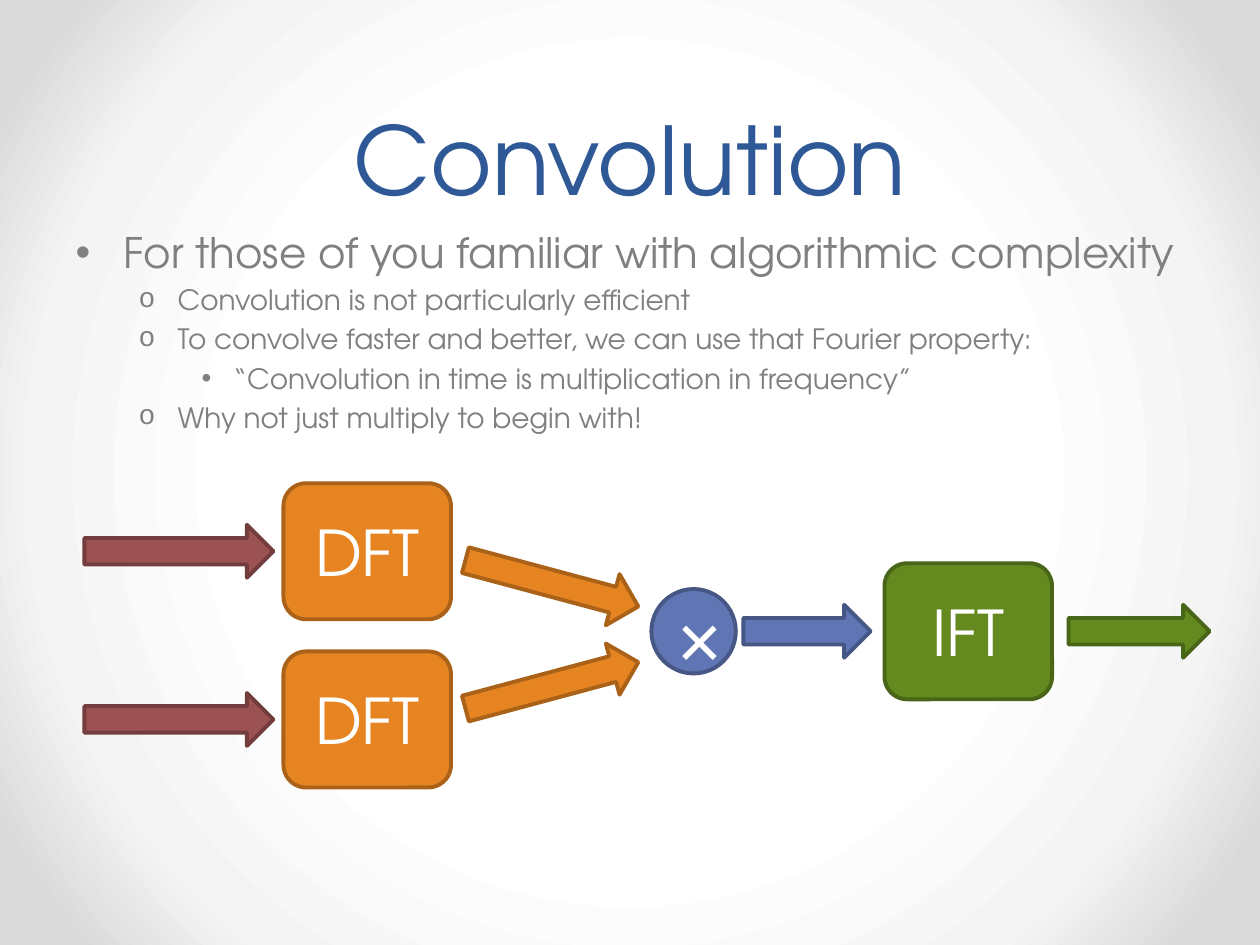
from dataclasses import dataclass

from lxml import etree
from pptx import Presentation
from pptx.dml.color import RGBColor
from pptx.enum import shapes, text
from pptx.oxml import parse_xml
from pptx.oxml.ns import nsdecls, qn
from pptx.util import Inches, Pt

FONT = "TeX Gyre Adventor"
TITLE_BLUE = RGBColor(0x2F, 0x58, 0x97)
GRAY = RGBColor(0x80, 0x80, 0x80)
WHITE = RGBColor(0xFF, 0xFF, 0xFF)
BACKDROP = [(50, WHITE), (76, RGBColor(0xF4, 0xF4, 0xF4)), (92, RGBColor(0xDA, 0xDA, 0xDA))]


@dataclass(frozen=True)
class Palette:
    fill: RGBColor
    line: RGBColor


RED = Palette(RGBColor(0x9C, 0x52, 0x52), RGBColor(0x73, 0x3D, 0x3D))
ORANGE = Palette(RGBColor(0xE6, 0x84, 0x22), RGBColor(0xAA, 0x62, 0x19))
BLUE = Palette(RGBColor(0x60, 0x76, 0xB4), RGBColor(0x47, 0x57, 0x85))
GREEN = Palette(RGBColor(0x63, 0x89, 0x1F), RGBColor(0x49, 0x65, 0x17))


@dataclass(frozen=True)
class Level:
    size: int
    left: float
    hanging: float
    bullet: str
    bullet_font: str


LEVELS = [
    Level(24, 0.38, 0.38, "•", "Arial"),
    Level(16, 0.81, 0.31, "o", "Courier New"),
    Level(16, 1.25, 0.25, "•", "Arial"),
]

POINTS = [
    (0, "For those of you familiar with algorithmic complexity"),
    (1, "Convolution is not particularly efficient"),
    (1, "To convolve faster and better, we can use that Fourier property:"),
    (2, "“Convolution in time is multiplication in frequency”"),
    (1, "Why not just multiply to begin with!"),
]


@dataclass(frozen=True)
class Block:
    """A part of the signal flow, placed by its left edge and vertical centre."""
    kind: shapes.MSO_SHAPE
    left: float
    middle: float
    width: float
    height: float
    palette: Palette
    label: str = ""
    size: int = 36
    rotation: int = 0


def transform(left: float, middle: float, palette: Palette, label: str) -> Block:
    return Block(shapes.MSO_SHAPE.ROUNDED_RECTANGLE, left, middle, 1.33, 1.08, palette, label)


def arrow(left: float, middle: float, width: float, palette: Palette, rotation: int = 0) -> Block:
    return Block(shapes.MSO_SHAPE.RIGHT_ARROW, left, middle, width, 0.42, palette, rotation=rotation)


MERGE_Y = 5.01
BLOCKS = []
for input_y, merge_arrow_y, angle in [(4.375, 4.63, 15), (5.71, 5.44, 345)]:
    BLOCKS += [
        transform(2.25, input_y, ORANGE, "DFT"),
        arrow(0.67, input_y, 1.5, RED),
        arrow(3.67, merge_arrow_y, 1.42, ORANGE, angle),
    ]
BLOCKS += [
    Block(shapes.MSO_SHAPE.OVAL, 5.17, MERGE_Y, 0.67, 0.67, BLUE, "×", 44),
    arrow(5.9, MERGE_Y, 1.01, BLUE),
    transform(7.02, MERGE_Y, GREEN, "IFT"),
    arrow(8.48, MERGE_Y, 1.12, GREEN),
]


def style_runs(paragraph, size: int, color: RGBColor) -> None:
    for run in paragraph.runs:
        run.font.name = FONT
        run.font.size = Pt(size)
        run.font.color.rgb = color


def place(shape, left: float, top: float, width: float, height: float) -> None:
    shape.left, shape.top = Inches(left), Inches(top)
    shape.width, shape.height = Inches(width), Inches(height)


def set_backdrop(slide) -> None:
    """Give the slide a circular gradient, which python-pptx cannot set itself."""
    stops = "".join(
        f'<a:gs pos="{pos * 1000}"><a:srgbClr val="{color}"/></a:gs>' for pos, color in BACKDROP
    )
    background = parse_xml(
        f'<p:bg {nsdecls("p", "a")}><p:bgPr><a:gradFill rotWithShape="1">'
        f'<a:gsLst>{stops}</a:gsLst><a:path path="circle">'
        '<a:fillToRect l="50000" t="50000" r="50000" b="50000"/></a:path>'
        '</a:gradFill><a:effectLst/></p:bgPr></p:bg>'
    )
    slide.element.cSld.insert(0, background)


def write_title(title) -> None:
    place(title, 0.5, 0, 9, 1.75)
    frame = title.text_frame
    frame.text = "Convolution"
    frame.auto_size = text.MSO_AUTO_SIZE.NONE
    frame.vertical_anchor = text.MSO_ANCHOR.BOTTOM
    heading = frame.paragraphs[0]
    heading.alignment = text.PP_ALIGN.CENTER
    heading.line_spacing = Pt(58)
    style_runs(heading, 54, TITLE_BLUE)


def set_bullet(paragraph, level: Level) -> None:
    properties = paragraph._p.get_or_add_pPr()
    properties.set("marL", str(Inches(level.left)))
    properties.set("indent", str(-Inches(level.hanging)))
    etree.SubElement(properties, qn("a:buFont"), typeface=level.bullet_font)
    etree.SubElement(properties, qn("a:buChar"), char=level.bullet)


def write_points(body) -> None:
    place(body, 0.5, 1.75, 9, 4.95)
    frame = body.text_frame
    frame.text = "\n".join(words for _, words in POINTS)
    frame.auto_size = text.MSO_AUTO_SIZE.NONE
    for index, (paragraph, (depth, _)) in enumerate(zip(frame.paragraphs, POINTS)):
        level = LEVELS[depth]
        paragraph.level = depth
        set_bullet(paragraph, level)
        paragraph.space_before = Pt(0.2 * level.size if index else 0)
        style_runs(paragraph, level.size, GRAY)


def draw_block(slide, block: Block) -> None:
    shape = slide.shapes.add_shape(
        block.kind, Inches(block.left), Inches(block.middle - block.height / 2),
        Inches(block.width), Inches(block.height),
    )
    shape.rotation = block.rotation
    shape.shadow.inherit = False
    shape.fill.solid()
    shape.fill.fore_color.rgb = block.palette.fill
    shape.line.color.rgb = block.palette.line
    shape.line.width = Pt(2.25)
    if block.label:
        frame = shape.text_frame
        frame.text = block.label
        frame.vertical_anchor = text.MSO_ANCHOR.MIDDLE
        frame.paragraphs[0].alignment = text.PP_ALIGN.CENTER
        style_runs(frame.paragraphs[0], block.size, WHITE)


def main() -> None:
    deck = Presentation()
    deck.slide_width, deck.slide_height = Inches(10), Inches(7.5)
    slide = deck.slides.add_slide(deck.slide_layouts[1])
    set_backdrop(slide)
    write_title(slide.shapes.title)
    write_points(slide.placeholders[1])
    for block in BLOCKS:
        draw_block(slide, block)
    deck.save("out.pptx")


if __name__ == "__main__":
    main()
